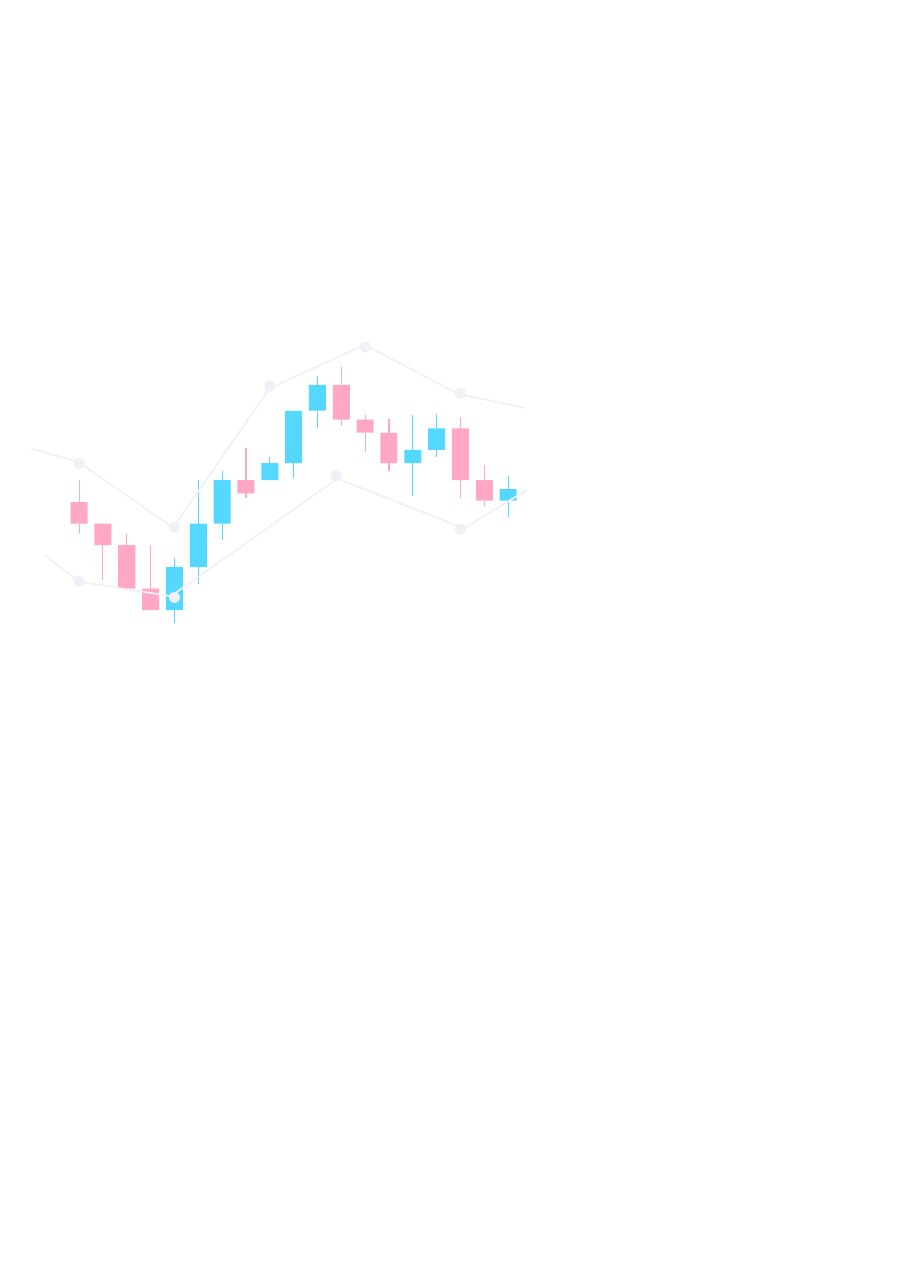
from lxml.etree import SubElement
from pptx import Presentation
from pptx.dml.color import RGBColor
from pptx.enum.shapes import MSO_CONNECTOR, MSO_SHAPE
from pptx.oxml.ns import qn
from pptx.util import Pt

FALL, RISE, BAND = "FFA7C4", "54D8FF", "F0F0F7"
FIRST_CENTRE, STEP = 103.4, 31.16

# colour, high, body top, body bottom, low
CANDLES = [
    (FALL, 627.8, 656.6, 684.7, 697.7),
    (FALL, 684.7, 684.7, 712.8, 758.2),
    (FALL, 697.7, 712.8, 769.7, 769.7),
    (FALL, 712.8, 769.7, 797.8, 797.8),
    (RISE, 730.1, 741.6, 797.8, 815),
    (RISE, 627.8, 684.7, 741.6, 763.9),
    (RISE, 616.3, 627.8, 684.7, 705.6),
    (FALL, 585.4, 627.8, 645.1, 650.9),
    (RISE, 596.9, 605.5, 627.8, 627.8),
    (RISE, 537.1, 537.1, 605.5, 625),
    (RISE, 491.8, 503.3, 537.1, 560.2),
    (FALL, 480.2, 503.3, 548.6, 557.3),
    (FALL, 542.9, 548.6, 565.9, 591.1),
    (FALL, 547.2, 565.9, 605.5, 616.3),
    (RISE, 542.9, 588.2, 605.5, 648),
    (RISE, 541.4, 560.2, 588.2, 596.9),
    (FALL, 545.8, 560.2, 627.8, 650.9),
    (FALL, 608.4, 627.8, 654.5, 661.7),
    (RISE, 622.1, 639.4, 654.5, 675.4),
]
BAND_DOTS = [
    (0, 606.2), (4, 689.8), (8, 504.7), (12, 453.6), (16, 514.1),
    (16, 691.9), (10.77, 622.1), (4, 781.2), (0, 759.6),
]
BAND_LINES = [
    (98.6, 601.2, 233.3, 694.8),
    (357.8, 499.7, 223.2, 694.8),
    (347.8, 509.8, 482.4, 448.6),
    (607, 519.1, 472.3, 448.6),
    (687.6, 533.5, 594.7, 514.1),
    (688.3, 640.8, 596.9, 697),
    (432, 622.1, 609.1, 691.9),
    (446.4, 622.1, 221, 781.2),
    (96.5, 759.6, 235.4, 781.2),
    (108.7, 764.6, 58.3, 725.8),
    (110.9, 606.2, 41, 586.8),
]


def colour(value):
    return RGBColor.from_string(value)


class CandleChart:
    body_width = 22.3
    wick_weight = 1.5
    dot_size = 14.4
    band_weight = 2.25

    def __init__(self, slide):
        self.shapes = slide.shapes.add_group_shape().shapes

    def centre(self, day):
        return FIRST_CENTRE + STEP * day

    def solid(self, kind, left, top, width, height, fill):
        solid = self.shapes.add_shape(kind, Pt(left), Pt(top), Pt(width), Pt(height))
        solid.shadow.inherit = False
        solid.fill.solid()
        solid.fill.fore_color.rgb = colour(fill)
        solid.line.fill.background()

    def line(self, x1, y1, x2, y2, stroke, weight):
        line = self.shapes.add_connector(
            MSO_CONNECTOR.STRAIGHT, Pt(x1), Pt(y1), Pt(x2), Pt(y2))
        line.line.color.rgb = colour(stroke)
        line.line.width = Pt(weight)
        SubElement(line._element.spPr, qn("a:effectLst"))

    def candle(self, day, fill, high, top, bottom, low):
        middle = self.centre(day)
        self.solid(MSO_SHAPE.RECTANGLE, middle - self.body_width / 2, top,
                   self.body_width, bottom - top, fill)
        for start, end in ((high, top), (bottom, low)):
            if end > start:
                self.line(middle, end, middle, start, fill, self.wick_weight)

    def dot(self, day, level):
        radius = self.dot_size / 2
        self.solid(MSO_SHAPE.OVAL, self.centre(day) - radius, level - radius,
                   self.dot_size, self.dot_size, BAND)

    def band(self, x1, y1, x2, y2):
        self.line(x1, y1, x2, y2, BAND, self.band_weight)


def main():
    deck = Presentation()
    deck.slide_width, deck.slide_height = Pt(1190.88), Pt(1684.08)
    chart = CandleChart(deck.slides.add_slide(deck.slide_layouts[6]))
    for day, candle in enumerate(CANDLES):
        chart.candle(day, *candle)
    for dot in BAND_DOTS:
        chart.dot(*dot)
    for segment in BAND_LINES:
        chart.band(*segment)
    deck.save("out.pptx")


if __name__ == "__main__":
    main()
